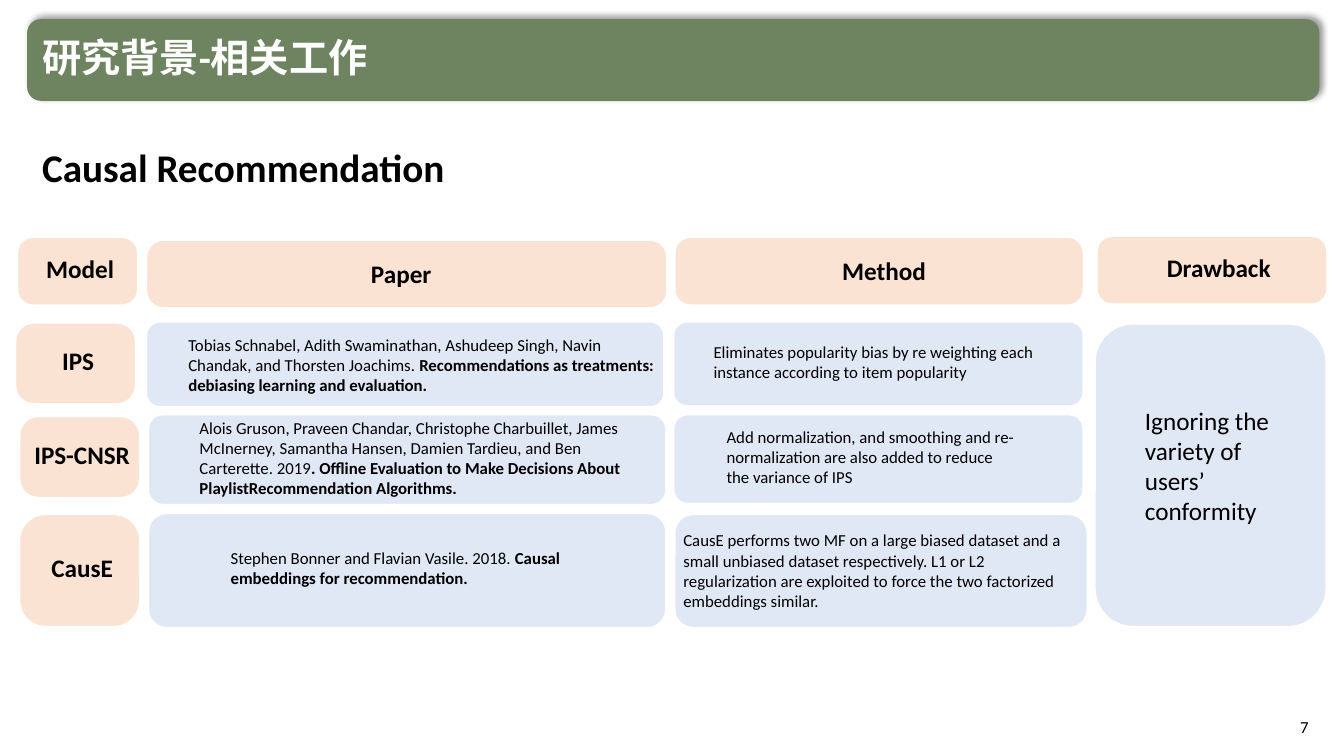
from dataclasses import dataclass
from typing import NamedTuple

from lxml.etree import SubElement
from pptx import Presentation
from pptx.dml.color import RGBColor
from pptx.enum.shapes import MSO_SHAPE
from pptx.enum.text import MSO_ANCHOR, PP_ALIGN
from pptx.oxml.ns import qn
from pptx.util import Pt

PEACH, BLUE, GREEN = "F4B183", "B4C7E7", "6E8360"
BLACK, WHITE = "000000", "FFFFFF"


class Box(NamedTuple):
    left: float
    top: float
    wide: float
    high: float

    def place(self) -> tuple:
        return tuple(Pt(n) for n in self)


@dataclass
class Label:
    word: str
    box: Box
    shift: float = -13
    span: float = 117.4
    lift: float = 2.2
    round: float = 0.237


@dataclass
class Cell:
    box: Box
    area: Box
    plain: str
    bold: str = ""
    size: int = 12
    anchor: MSO_ANCHOR = MSO_ANCHOR.TOP


def color(code: str) -> RGBColor:
    return RGBColor.from_string(code)


def fade(node, share: int) -> None:
    SubElement(node, qn("a:alpha")).set("val", str(share * 1000))


def panel(box: Box, fill: str, round: float):
    shape = slide.shapes.add_shape(MSO_SHAPE.ROUNDED_RECTANGLE, *box.place())
    shape.shadow.inherit = False
    shape.adjustments[0] = round
    shape.fill.solid()
    shape.fill.fore_color.rgb = color(fill)
    return shape


def card(box: Box, fill: str, share: int, round: float) -> None:
    shape = panel(box, fill, round)
    fade(shape._element.spPr.find(".//" + qn("a:srgbClr")), share)
    shape.line.color.rgb = color(WHITE)
    shape.line.width = Pt(3)


def banner(box: Box) -> None:
    shape = panel(box, GREEN, 0.167)
    shape.line.fill.background()
    effect = shape._element.spPr.find(qn("a:effectLst"))
    shadow = SubElement(effect, qn("a:outerShdw"), blurRad=str(Pt(4)),
                        dist=str(Pt(3)), dir=str(315 * 60000))
    tint = SubElement(shadow, qn("a:srgbClr"), val=BLACK)
    fade(tint, 40)


def write(frame, runs: list, size: int, align=PP_ALIGN.LEFT,
          anchor=MSO_ANCHOR.TOP, tone: str = BLACK) -> None:
    frame.word_wrap = True
    frame.vertical_anchor = anchor
    para = frame.paragraphs[0]
    para.alignment = align
    for text, bold in runs:
        if text:
            run = para.add_run()
            run.text = text
            run.font.name = "Calibri"
            run.font.size = Pt(size)
            run.font.bold = bold
            run.font.color.rgb = color(tone)


def note(box: Box, runs: list, size: int, **style) -> None:
    write(slide.shapes.add_textbox(*box.place()).text_frame, runs, size, **style)


def draw_label(item: Label) -> None:
    box = item.box
    card(box, PEACH, 35, item.round)
    area = Box(box.left + item.shift, box.top - item.lift, item.span, box.high)
    note(area, [(item.word, True)], 18,
         align=PP_ALIGN.CENTER, anchor=MSO_ANCHOR.MIDDLE)


def draw_cell(item: Cell) -> None:
    card(item.box, BLUE, 40, 0.168)
    note(item.area, [(item.plain, False), (item.bold, True)], item.size,
         anchor=item.anchor)


labels = [
    Label("Model", Box(11.5, 168.5, 87.8, 50.4)),
    Label("Paper", Box(103.7, 170.6, 373.7, 50.4), 86.4, 193, 0.7, 0.259),
    Label("Method", Box(481, 168.5, 293.8, 50.4), 69.1, 162.7, 0.7),
    Label("Drawback", Box(782.6, 167.8, 166.3, 50.4), 23.8, 128.2),
    Label("IPS", Box(10.1, 229.7, 87.8, 59.8)),
    Label("IPS-CNSR", Box(13, 296.6, 87.8, 59.8)),
    Label("CausE", Box(13, 366.5, 87.8, 82.1)),
]

cells = [
    Cell(Box(103.7, 229, 371.5, 62.6), Box(127.4, 235.4, 352.1, 51.1),
         "Tobias Schnabel, Adith Swaminathan, Ashudeep Singh, Navin Chandak, "
         "and Thorsten Joachims. ",
         "Recommendations as treatments: debiasing learning and evaluation."),
    Cell(Box(480.2, 229, 294.5, 61.9), Box(502.6, 233.3, 249.8, 50.4),
         "Eliminates popularity bias by re weighting each instance according "
         "to item popularity", anchor=MSO_ANCHOR.MIDDLE),
    Cell(Box(105.1, 295.2, 371.5, 66.2), Box(135.4, 294.5, 327.6, 65.5),
         "Alois Gruson, Praveen Chandar, Christophe Charbuillet, James "
         "McInerney, Samantha Hansen, Damien Tardieu, and Ben Carterette. 2019",
         ". Offline Evaluation to Make Decisions About "
         "PlaylistRecommendation Algorithms."),
    Cell(Box(480.2, 295.2, 294.5, 65.5), Box(511.9, 301, 220.3, 51.1),
         "Add normalization, and smoothing and re-normalization are also "
         "added to reduce the variance of IPS"),
    Cell(Box(105.1, 365.8, 371.5, 83.5), Box(157.7, 387.4, 299.5, 36),
         "Stephen Bonner and Flavian Vasile. 2018. ",
         "Causal embeddings for recommendation."),
    Cell(Box(481, 366.5, 296.6, 82.8), Box(481, 375.1, 296.6, 65.5),
         "CausE performs two MF on a large biased dataset and a small unbiased "
         "dataset respectively. L1 or L2 regularization are exploited to force "
         "the two factorized embeddings similar."),
    Cell(Box(781.2, 230.4, 167, 218.2), Box(810.7, 285.8, 123.8, 94.3),
         "Ignoring the variety of users’ conformity", size=18),
]

deck = Presentation()
deck.slide_width, deck.slide_height = Pt(960), Pt(540)
slide = deck.slides.add_slide(deck.slide_layouts[5])

banner(Box(19.4, 13.7, 923, 58.3))
title = slide.shapes.title
slide.shapes._spTree.append(title._element)
title.left, title.top, title.width, title.height = Box(23, 20.2, 797, 44.6).place()
write(title.text_frame, [("研究背景-相关工作", True)], 28, tone=WHITE)

note(Box(23, 98.6, 480.2, 41), [("Causal Recommendation", True)], 28)
for label in labels:
    draw_label(label)
for cell in cells:
    draw_cell(cell)
note(Box(884.9, 504.7, 56.9, 28.8), [("7", False)], 12,
     align=PP_ALIGN.RIGHT, anchor=MSO_ANCHOR.MIDDLE)

deck.save("out.pptx")
